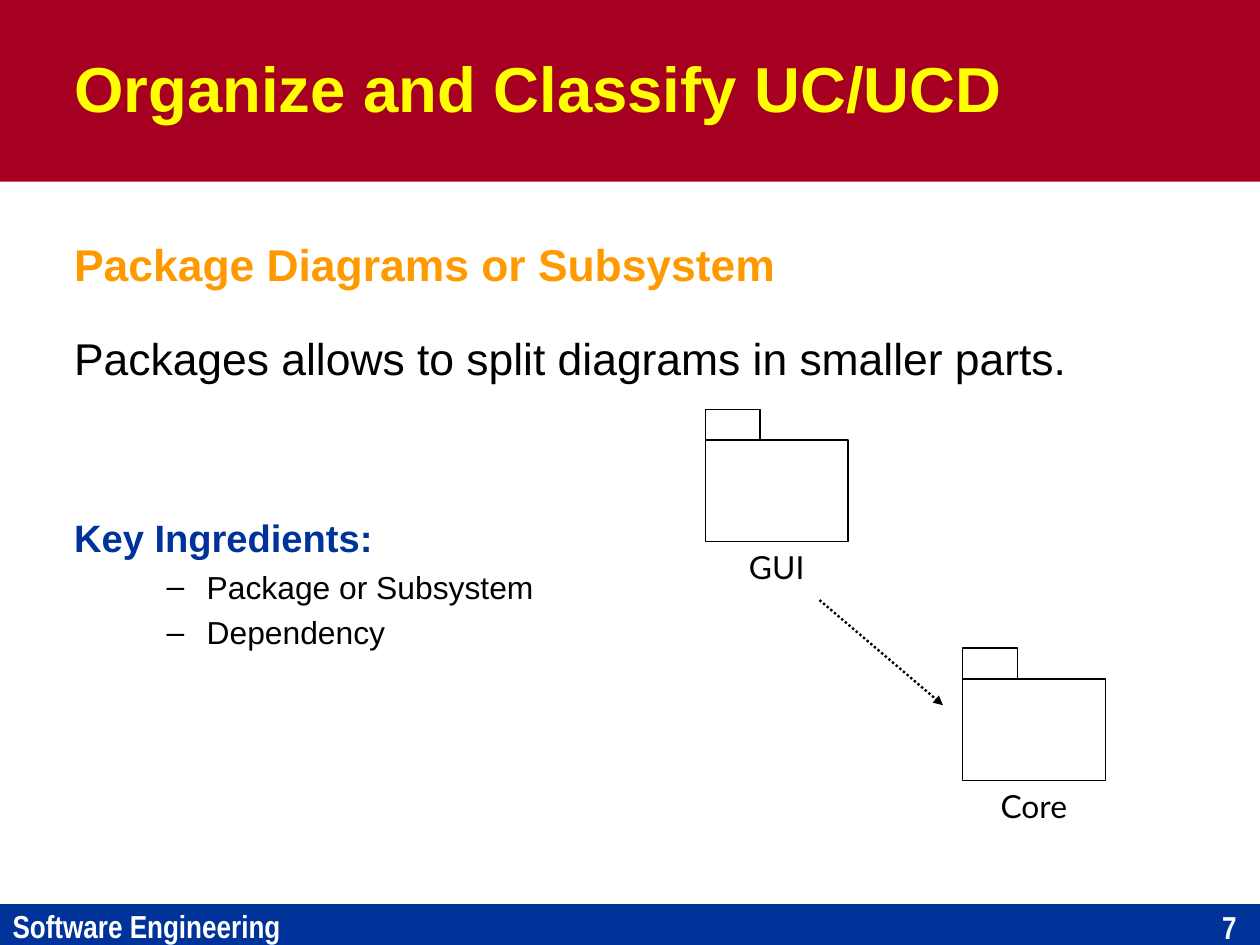
from lxml import etree
from pptx import Presentation
from pptx.dml.color import RGBColor
from pptx.enum import dml, shapes, text
from pptx.oxml.ns import qn
from pptx.util import Inches, Pt

# 28 by 21 centimetres, in inches
WIDTH, HEIGHT = 28 / 2.54, 21 / 2.54
WHITE, BLACK, BLUE, RED = "FFFFFF", "000000", "003399", "A50021"
YELLOW, ORANGE = "FFFF00", "FF9900"

TITLE = "Organize and Classify UC/UCD"
FOOTER = "Software Engineering"
PAGE_NUMBER = "7"
# text, paragraph format
BODY = [
    ("Package Diagrams or Subsystem", dict(size=28, color=ORANGE, bold=True)),
    ("Packages allows to split diagrams in smaller parts.", dict(size=28, before=19.2)),
    ("Key Ingredients:", dict(size=24, color=BLUE, bold=True, before=75.7)),
    ("Package or Subsystem", dict(size=20, bullet="–")),
    ("Dependency", dict(size=20, bullet="–")),
]
# name, left and top of the package's tab
PACKAGES = [("GUI", 6.17, 3.58), ("Core", 8.42, 5.67)]
TAB_SIZE = (0.48, 0.27)
FOLDER_SIZE = (1.25, 0.89)
LABEL_SIZE = (2.92, 0.43)
DEPENDENCY = (7.17, 5.25, 8.25, 6.17)


def rgb(value):
    return RGBColor.from_string(value)


def add_rectangle(slide, left, top, width, height, fill=None, line=None):
    shape = slide.shapes.add_shape(
        shapes.MSO_SHAPE.RECTANGLE, *map(Inches, (left, top, width, height)))
    shape.shadow.inherit = False
    if fill:
        shape.fill.solid()
        shape.fill.fore_color.rgb = rgb(fill)
    else:
        shape.fill.background()
    if line:
        shape.line.color.rgb = rgb(line)
        shape.line.width = Pt(0.75)
    else:
        shape.line.fill.background()


def add_box(slide, left, top, width, height, inset=(0.1, 0.05), wrap=True,
            anchor=text.MSO_ANCHOR.TOP):
    frame = slide.shapes.add_textbox(
        *map(Inches, (left, top, width, height))).text_frame
    frame.word_wrap = wrap
    frame.vertical_anchor = anchor
    frame.margin_left = frame.margin_right = Inches(inset[0])
    frame.margin_top = frame.margin_bottom = Inches(inset[1])
    return frame


def write(paragraph, content, size=20, font="Arial", color=BLACK, bold=False,
          align=text.PP_ALIGN.LEFT, before=0, spacing=1.0, bullet=None):
    paragraph.text = content
    paragraph.alignment = align
    paragraph.space_before = Pt(before)
    paragraph.line_spacing = spacing
    if bullet:
        properties = paragraph._p.get_or_add_pPr()
        properties.set("marL", str(Inches(1.16)))
        properties.set("indent", str(Inches(-0.35)))
        etree.SubElement(properties, qn("a:buFont")).set("typeface", font)
        etree.SubElement(properties, qn("a:buChar")).set("char", bullet)
    paragraph.font.size = Pt(size)
    paragraph.font.name = font
    paragraph.font.bold = bold
    paragraph.font.color.rgb = rgb(color)


def add_package(slide, name, left, top):
    tab_width, tab_height = TAB_SIZE
    folder_width, folder_height = FOLDER_SIZE
    folder_top = top + tab_height
    add_rectangle(slide, left, folder_top, *FOLDER_SIZE, line=BLACK)
    add_rectangle(slide, left, top, tab_width, tab_height, line=BLACK)
    label_left = left + (folder_width - LABEL_SIZE[0]) / 2
    label = add_box(slide, label_left, folder_top + folder_height, *LABEL_SIZE)
    write(label.paragraphs[0], name, font="Lato", align=text.PP_ALIGN.CENTER)


def add_dependency(slide, points):
    """Draw a dotted arrow between two points."""
    connector = slide.shapes.add_connector(
        shapes.MSO_CONNECTOR.STRAIGHT, *map(Inches, points))
    connector.line.color.rgb = rgb(BLACK)
    connector.line.width = Pt(1.5)
    connector.line.dash_style = dml.MSO_LINE.ROUND_DOT
    line = connector.line._get_or_add_ln()
    etree.SubElement(line, qn("a:tailEnd")).set("type", "triangle")
    etree.SubElement(connector._element.spPr, qn("a:effectLst"))


def main():
    presentation = Presentation()
    presentation.slide_width, presentation.slide_height = Inches(WIDTH), Inches(HEIGHT)
    slide = presentation.slides.add_slide(presentation.slide_layouts[6])

    add_rectangle(slide, 0, 7.91, WIDTH, HEIGHT - 7.91, fill=BLUE)
    add_rectangle(slide, 0, 0, WIDTH, 1.59, fill=RED)

    footer_style = dict(font="Arial Narrow", color=WHITE, bold=True)
    footer = add_box(slide, 0, 7.87, 2.57, 0.44, inset=(0.11, 0.06), wrap=False)
    write(footer.paragraphs[0], FOOTER, **footer_style)
    number = add_box(slide, 10.2, 7.93, 0.73, 0.37, inset=(0.11, 0.01))
    write(number.paragraphs[0], PAGE_NUMBER, align=text.PP_ALIGN.RIGHT, **footer_style)

    title = add_box(slide, 0.65, 0.21, 8.39, 1.1, inset=(0, 0),
                    anchor=text.MSO_ANCHOR.MIDDLE)
    write(title.paragraphs[0], TITLE, size=40, color=YELLOW, bold=True)

    body = add_box(slide, 0.55, 1.93, 9.92, 5.46)
    for index, (content, style) in enumerate(BODY):
        paragraph = body.add_paragraph() if index else body.paragraphs[0]
        write(paragraph, content, spacing=1.2, **style)

    for package in PACKAGES:
        add_package(slide, *package)
    add_dependency(slide, DEPENDENCY)

    presentation.save("out.pptx")


if __name__ == "__main__":
    main()
